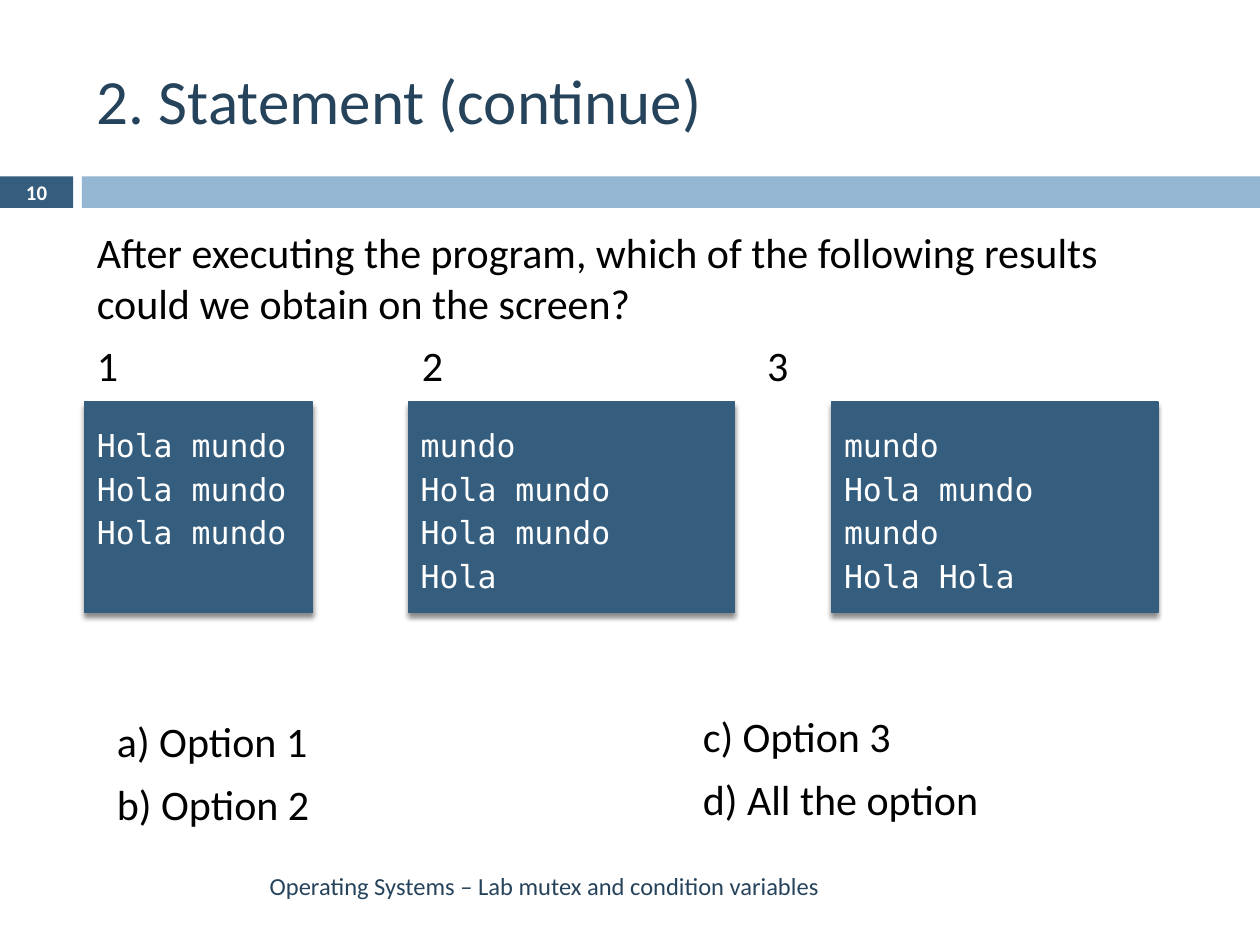
from pptx import Presentation
from pptx.dml.color import RGBColor
from pptx.enum.shapes import MSO_SHAPE
from pptx.enum.text import MSO_ANCHOR, PP_ALIGN
from pptx.oxml.ns import qn
from pptx.util import Inches, Pt
from lxml.etree import SubElement

DARK_BLUE = RGBColor(0x34, 0x5D, 0x7E)
LIGHT_BLUE = RGBColor(0x94, 0xB6, 0xD2)
TITLE_BLUE = RGBColor(0x26, 0x43, 0x5C)
BLACK = RGBColor(0, 0, 0)
WHITE = RGBColor(0xFF, 0xFF, 0xFF)

RESULTS = [
    (0.67, 1.81, ["Hola mundo", "Hola mundo", "Hola mundo"]),
    (3.24, 2.59, ["mundo", "Hola mundo", "Hola mundo", "Hola"]),
    (6.6, 2.59, ["mundo", "Hola mundo", "mundo", "Hola Hola"]),
]
OPTIONS = [
    (0.83, 5.63, ["a) Option 1", "b) Option 2"]),
    (5.48, 5.59, ["c) Option 3", "d) All the option"]),
]


def add_tab_stops(paragraph, positions):
    stops = SubElement(paragraph._p.get_or_add_pPr(), qn("a:tabLst"))
    for position in positions:
        SubElement(stops, qn("a:tab"), pos=str(Inches(position)), algn="l")


def write_lines(box, lines, size=24, color=BLACK, font="Calibri", bold=False,
                align=PP_ALIGN.LEFT, anchor=MSO_ANCHOR.TOP, gap=0,
                spacing=None, inset=0.1, top_inset=0.05, tabs=()):
    frame = box.text_frame
    frame.word_wrap = True
    frame.vertical_anchor = anchor
    frame.margin_left = frame.margin_right = Inches(inset)
    frame.margin_top = Inches(top_inset)
    for index, line in enumerate(lines):
        paragraph = frame.add_paragraph() if index else frame.paragraphs[0]
        paragraph.alignment = align
        paragraph.space_before = Pt(gap if index else 0)
        if spacing:
            paragraph.line_spacing = spacing
        if "\t" in line:
            add_tab_stops(paragraph, tabs)
        span = paragraph.add_run()
        span.text = line
        span.font.name = font
        span.font.size = Pt(size)
        span.font.bold = bold
        span.font.color.rgb = color


def add_text(page, left, top, width, height, lines, **text_format):
    box = page.shapes.add_textbox(Inches(left), Inches(top),
                                  Inches(width), Inches(height))
    write_lines(box, lines, **text_format)


def add_bar(page, left, top, width, height, fill):
    bar = page.shapes.add_shape(MSO_SHAPE.RECTANGLE, Inches(left), Inches(top),
                                Inches(width), Inches(height))
    bar.shadow.inherit = False
    bar.fill.solid()
    bar.fill.fore_color.rgb = fill
    bar.line.fill.background()
    return bar


def add_drop_shadow(shape):
    effects = shape._element.spPr.find(qn("a:effectLst"))
    shadow = SubElement(effects, qn("a:outerShdw"), blurRad=str(Pt(3)),
                        dist=str(Pt(2.4)), dir="5400000", rotWithShape="0")
    color = SubElement(shadow, qn("a:srgbClr"), val="000000")
    SubElement(color, qn("a:alpha"), val="45000")


def add_result(page, left, width, lines):
    panel = add_bar(page, left, 3.19, width, 1.67, DARK_BLUE)
    panel.line.color.rgb = DARK_BLUE
    panel.line.width = Pt(0.79)
    add_drop_shadow(panel)
    write_lines(panel, lines, size=18, color=WHITE, font="DejaVu Sans Mono",
                align=PP_ALIGN.JUSTIFY, spacing=1.15, top_inset=0.15)


def main():
    deck = Presentation()
    deck.slide_width, deck.slide_height = Inches(10), Inches(7.5)
    page = deck.slides.add_slide(deck.slide_layouts[6])

    add_bar(page, 0, 1.4, 0.58, 0.25, DARK_BLUE)
    add_bar(page, 0.65, 1.4, 9.35, 0.25, LIGHT_BLUE)
    add_text(page, 0, 1.39, 0.58, 0.27, ["10"], size=11.9, color=WHITE,
             bold=True, align=PP_ALIGN.CENTER, anchor=MSO_ANCHOR.MIDDLE, inset=0)
    add_text(page, 0.67, 1.75, 8.66, 1.4,
             ["After executing the program, which of the following results "
              "could we obtain on the screen?", "1\t2\t3"],
             gap=7, tabs=(2.58, 5.32))
    add_text(page, 0.67, 0.25, 8.92, 1.08, ["2. Statement (continue)"],
             size=36, color=TITLE_BLUE, anchor=MSO_ANCHOR.MIDDLE)
    add_text(page, 0.67, 6.83, 5.93, 0.4,
             ["Operating Systems – Lab mutex and condition variables"],
             size=14, color=TITLE_BLUE, align=PP_ALIGN.RIGHT,
             anchor=MSO_ANCHOR.MIDDLE)
    for left, width, lines in RESULTS:
        add_result(page, left, width, lines)
    for left, top, lines in OPTIONS:
        add_text(page, left, top, 3.67, 1.1, lines, gap=7)

    deck.save("out.pptx")


if __name__ == "__main__":
    main()
